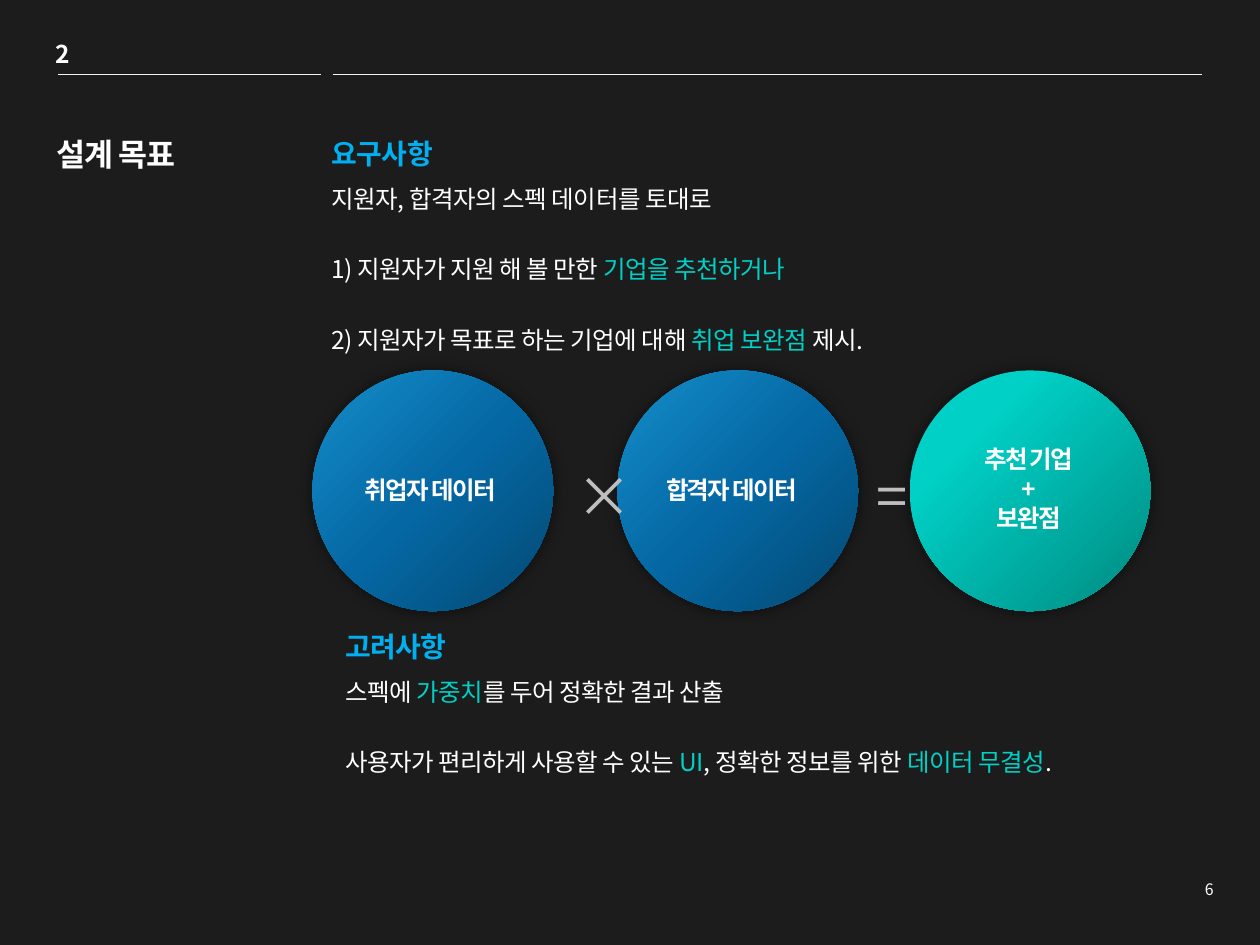
"""Build the design goals slide: requirements, data equation and considerations."""
import pptx
import pptx.dml.color
import pptx.enum.shapes
import pptx.enum.text
import pptx.oxml
import pptx.util
from lxml import etree

Inches, Pt = pptx.util.Inches, pptx.util.Pt
RGBColor = pptx.dml.color.RGBColor
LEFT, CENTER, RIGHT = (getattr(pptx.enum.text.PP_ALIGN, side) for side in ("LEFT", "CENTER", "RIGHT"))

FONT = "Noto Sans CJK KR"
A = "http://schemas.openxmlformats.org/drawingml/2006/main"
BACKGROUND = RGBColor(0x1C, 0x1C, 0x1C)
WHITE = RGBColor(0xFF, 0xFF, 0xFF)
RULE = RGBColor(0xF2, 0xF2, 0xF2)
GRAY = RGBColor(0xBF, 0xBF, 0xBF)
SKY = RGBColor(0x00, 0xB0, 0xF0)
TEAL = RGBColor(0x00, 0xD0, 0xC6)
BLUE_STOPS = [
    (0, RGBColor(0x03, 0x49, 0x73)),
    (50, RGBColor(0x05, 0x68, 0xA4)),
    (100, RGBColor(0x14, 0x8D, 0xCA)),
]
TEAL_STOPS = [(0, RGBColor(0x00, 0x8A, 0x80)), (74, TEAL)]

STYLES = {
    "section": dict(size=14, bold=True, color=WHITE, tracking=-50, leading=17, wrap=False),
    "title": dict(size=18, bold=True, color=WHITE, tracking=-50, leading=23),
    "heading": dict(size=16, bold=True, color=SKY, tracking=-20, leading=19.5),
    "body": dict(size=14, color=WHITE, tracking=-30, leading=24, gap=16.2),
    "circle": dict(size=14, bold=True, color=WHITE, tracking=-100, leading=17, align=CENTER),
    "operator": dict(size=32, color=GRAY, tracking=-50, leading=48, align=CENTER),
    "page": dict(size=9, color=WHITE, leading=11, align=RIGHT, wrap=False),
}

CIRCLE_TOP, DIAMETER = 2.94, 1.91
CIRCLES = [(4.9, BLUE_STOPS), (2.48, BLUE_STOPS), (7.22, TEAL_STOPS)]
RULES = [(0.46, 2.55), (2.64, 9.54)]
RULE_Y = 0.59

TEXTS = [
    ("circle", (2.77, 3.72, 1.29, 0.34), ["취업자 데이터"]),
    ("operator", (4.48, 3.48, 0.3, 0.7), ["×"]),
    ("operator", (6.86, 3.48, 0.3, 0.7), ["="]),
    ("circle", (5.16, 3.72, 1.29, 0.34), ["합격자 데이터"]),
    ("circle", (7.52, 3.47, 1.29, 0.81), ["추천 기업", "+", "보완점"]),
    ("section", (0.34, 0.26, 0.31, 0.34), ["2"]),
    ("heading", (2.53, 1.03, 5.32, 0.37), ["요구사항"]),
    ("body", (2.53, 1.31, 6.2, 1.56), [
        "지원자, 합격자의 스펙 데이터를 토대로",
        ["1) 지원자가 지원 해 볼 만한 ", ("기업을 추천하거나", TEAL)],
        ["2) 지원자가 목표로 하는 기업에 대해 ", ("취업 보완점 ", TEAL), "제시."],
    ]),
    ("page", (9.45, 6.93, 0.28, 0.25), ["6"]),
    ("title", (0.35, 1, 2.05, 1.61), ["설계 목표"]),
    ("heading", (2.64, 4.94, 5.32, 0.37), ["고려사항"]),
    ("body", (2.64, 5.22, 6.2, 1.21), [
        ["스펙에 ", ("가중치", TEAL), "를 두어 정확한 결과 산출"],
        ["사용자가 편리하게 사용할 수 있는 ", ("UI", TEAL), ", 정확한 정보를 위한 ",
         ("데이터 무결성", TEAL), "."],
    ]),
]


def apply(target, values):
    for name, value in values.items():
        setattr(target, name, value)


def add_circle(slide, left, stops):
    circle = slide.shapes.add_shape(
        pptx.enum.shapes.MSO_SHAPE.OVAL,
        *map(Inches, (left, CIRCLE_TOP, DIAMETER, DIAMETER)))
    circle.line.fill.background()
    circle.shadow.inherit = False
    properties = circle.element.spPr
    colors = "".join(
        f'<a:gs pos="{position * 1000}"><a:srgbClr val="{color}"/></a:gs>'
        for position, color in stops)
    gradient = pptx.oxml.parse_xml(
        f'<a:gradFill xmlns:a="{A}" rotWithShape="1"><a:gsLst>{colors}</a:gsLst>'
        '<a:path path="circle"><a:fillToRect l="100000" t="100000"/></a:path></a:gradFill>')
    properties.find(f"{{{A}}}prstGeom").addnext(gradient)
    glow = pptx.oxml.parse_xml(
        f'<a:outerShdw xmlns:a="{A}" blurRad="{Pt(8)}" dist="0" algn="ctr" rotWithShape="0">'
        '<a:srgbClr val="000000"><a:alpha val="52000"/></a:srgbClr></a:outerShdw>')
    properties.find(f"{{{A}}}effectLst").append(glow)


def add_rule(slide, start, end):
    rule = slide.shapes.add_connector(
        pptx.enum.shapes.MSO_CONNECTOR.STRAIGHT,
        *map(Inches, (start, RULE_Y, end, RULE_Y)))
    rule.line.color.rgb = RULE
    rule.line.width = Pt(0.25)
    etree.SubElement(rule.element.spPr, f"{{{A}}}effectLst")


def add_text(slide, style, place, lines):
    frame = slide.shapes.add_textbox(*map(Inches, place)).text_frame
    frame.word_wrap = style.get("wrap", True)
    for index, line in enumerate(lines):
        paragraph = frame.add_paragraph() if index else frame.paragraphs[0]
        apply(paragraph, {
            "alignment": style.get("align", LEFT),
            "line_spacing": Pt(style["leading"]),
            "space_before": Pt(style.get("gap", 0) if index else 0),
        })
        for part in [line] if isinstance(line, str) else line:
            words, color = (part, style["color"]) if isinstance(part, str) else part
            run = paragraph.add_run()
            run.text = words
            apply(run.font, {"name": FONT, "size": Pt(style["size"]), "bold": style.get("bold", False)})
            run.font.color.rgb = color
            properties = run.font._element
            properties.set("spc", str(style.get("tracking", 0)))
            etree.SubElement(properties, f"{{{A}}}ea", typeface=FONT)


def main():
    deck = pptx.Presentation()
    apply(deck, {"slide_width": Inches(10), "slide_height": Inches(7.5)})
    slide = deck.slides.add_slide(deck.slide_layouts[6])
    slide.background.fill.solid()
    slide.background.fill.fore_color.rgb = BACKGROUND
    for left, stops in CIRCLES:
        add_circle(slide, left, stops)
    for start, end in RULES:
        add_rule(slide, start, end)
    for style, place, lines in TEXTS:
        add_text(slide, STYLES[style], place, lines)
    deck.save("out.pptx")


if __name__ == "__main__":
    main()
